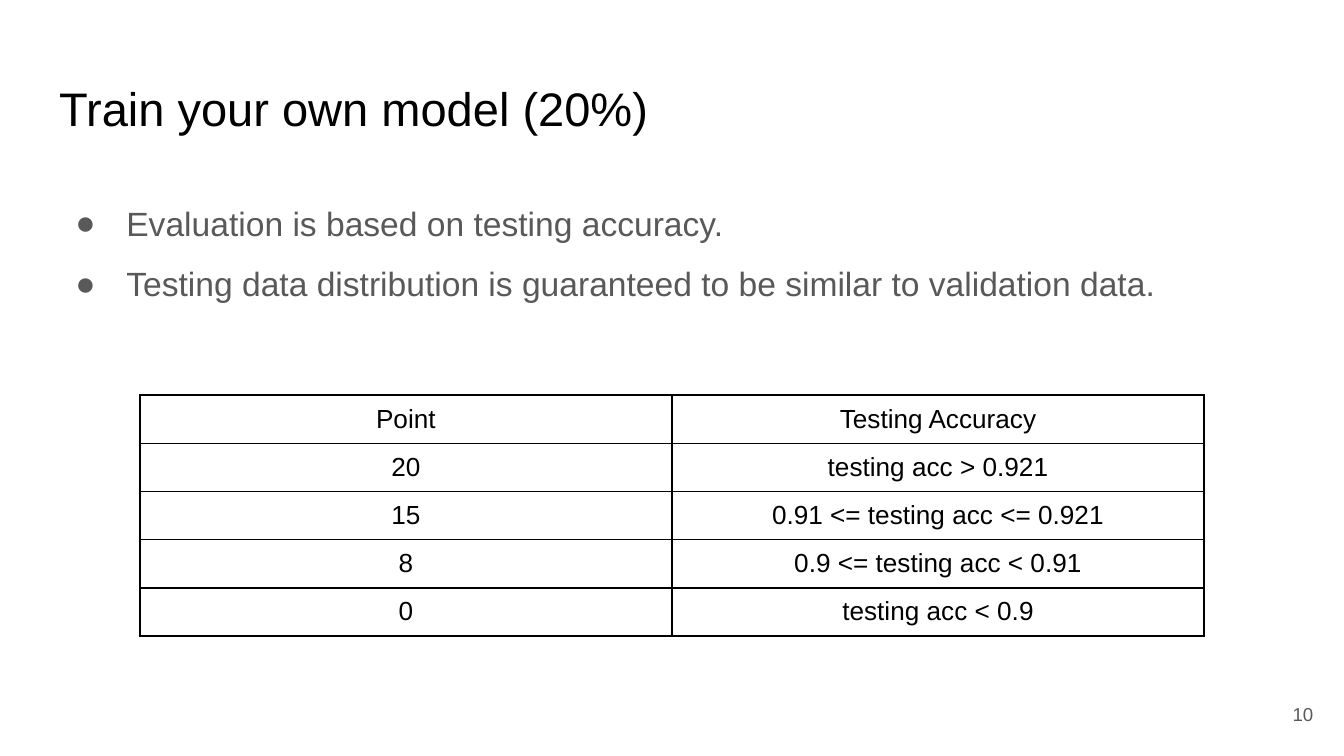
from dataclasses import dataclass

from lxml.etree import SubElement as add_node
from pptx import Presentation
from pptx.dml.color import RGBColor as Color
from pptx.enum.text import MSO_ANCHOR as Anchor, MSO_AUTO_SIZE as AutoSize, PP_ALIGN as Align
from pptx.oxml.ns import qn
from pptx.util import Inches, Pt


@dataclass(frozen=True)
class Theme:
    """Colours, font and type sizes of the deck."""
    font: str = "Arial"
    ink: str = "000000"
    grey: str = "595959"
    paper: str = "FFFFFF"
    title_size: float = 25.2
    body_size: float = 18
    table_size: float = 14
    number_size: float = 10
    border: float = 1


class SlideBuilder:
    """Adds styled elements to one page."""

    def __init__(self, page, theme):
        """Keep the page and its theme."""
        self.page = page
        self.theme = theme

    def add_span(self, para, text, size, color):
        """Add one styled run to a paragraph."""
        span = para.add_run()
        span.text = text
        span.font.name = self.theme.font
        span.font.size = Pt(size)
        span.font.color.rgb = Color.from_string(color)

    def prepare(self, box, area, anchor=Anchor.TOP):
        """Place a text box and return its text frame."""
        box.left, box.top, box.width, box.height = map(Inches, area)
        frame = box.text_frame
        frame.word_wrap = True
        frame.auto_size = AutoSize.NONE
        frame.vertical_anchor = anchor
        frame.margin_left = frame.margin_right = Inches(0.1)
        frame.margin_top = frame.margin_bottom = Inches(0.1)
        return frame

    def title(self, text, area):
        """Fill the title placeholder."""
        para = self.prepare(self.page.shapes.title, area).paragraphs[0]
        para.alignment = Align.LEFT
        self.add_span(para, text, self.theme.title_size, self.theme.ink)

    def bullets(self, items, area):
        """Fill the body placeholder with a bulleted list."""
        frame = self.prepare(self.page.placeholders[1], area)
        for index, item in enumerate(items):
            para = frame.add_paragraph() if index else frame.paragraphs[0]
            para.alignment = Align.LEFT
            para.line_spacing = 1.5
            para.space_before = para.space_after = Pt(0)
            props = para._p.get_or_add_pPr()
            props.set("marL", str(Inches(0.5)))
            props.set("indent", str(Inches(-0.38)))
            tint = add_node(props, qn("a:buClr"))
            add_node(tint, qn("a:srgbClr"), val=self.theme.grey)
            add_node(props, qn("a:buFont"), typeface=self.theme.font)
            add_node(props, qn("a:buChar"), char="●")
            self.add_span(para, item, self.theme.body_size, self.theme.grey)

    def page_number(self, text, area):
        """Add the page number."""
        box = self.page.shapes.add_textbox(*map(Inches, area))
        para = self.prepare(box, area, Anchor.MIDDLE).paragraphs[0]
        para.alignment = Align.RIGHT
        self.add_span(para, text, self.theme.number_size, self.theme.grey)

    def cell(self, cell, text):
        """Style and fill one table cell."""
        props = cell._tc.get_or_add_tcPr()
        for side in ("lnL", "lnR", "lnT", "lnB"):
            line = add_node(props, qn(f"a:{side}"), w=str(Pt(self.theme.border)))
            fill = add_node(line, qn("a:solidFill"))
            add_node(fill, qn("a:srgbClr"), val=self.theme.ink)
        cell.fill.solid()
        cell.fill.fore_color.rgb = Color.from_string(self.theme.paper)
        cell.margin_left = cell.margin_right = Inches(0.07)
        cell.margin_top = cell.margin_bottom = Inches(0.07)
        para = cell.text_frame.paragraphs[0]
        para.alignment = Align.CENTER
        self.add_span(para, text, self.theme.table_size, self.theme.ink)

    def table(self, rows, left, top, column_width, row_height):
        """Add a bordered table with equal rows and columns."""
        columns = len(rows[0])
        table = self.page.shapes.add_table(
            len(rows), columns, Inches(left), Inches(top),
            Inches(column_width * columns), Inches(row_height * len(rows))).table
        table.first_row = table.horz_banding = False
        for row_index, row in enumerate(rows):
            for column_index, text in enumerate(row):
                self.cell(table.cell(row_index, column_index), text)


def main():
    """Build and save the deck."""
    deck = Presentation()
    deck.slide_width, deck.slide_height = Inches(10), Inches(10 * 9 / 16)
    page = deck.slides.add_slide(deck.slide_layouts[1])
    builder = SlideBuilder(page, Theme())
    builder.title("Train your own model (20%)", (0.34, 0.49, 9.32, 0.63))
    builder.bullets([
        "Evaluation is based on testing accuracy.",
        "Testing data distribution is guaranteed to be similar to validation data.",
    ], (0.34, 1.26, 9.32, 3.74))
    builder.page_number("10", (9.27, 5.1, 0.6, 0.43))
    builder.table([
        ("Point", "Testing Accuracy"),
        ("20", "testing acc > 0.921"),
        ("15", "0.91 <= testing acc <= 0.921"),
        ("8", "0.9 <= testing acc < 0.91"),
        ("0", "testing acc < 0.9"),
    ], left=1.04, top=2.94, column_width=3.96, row_height=0.26)
    deck.save("out.pptx")


if __name__ == "__main__":
    main()
